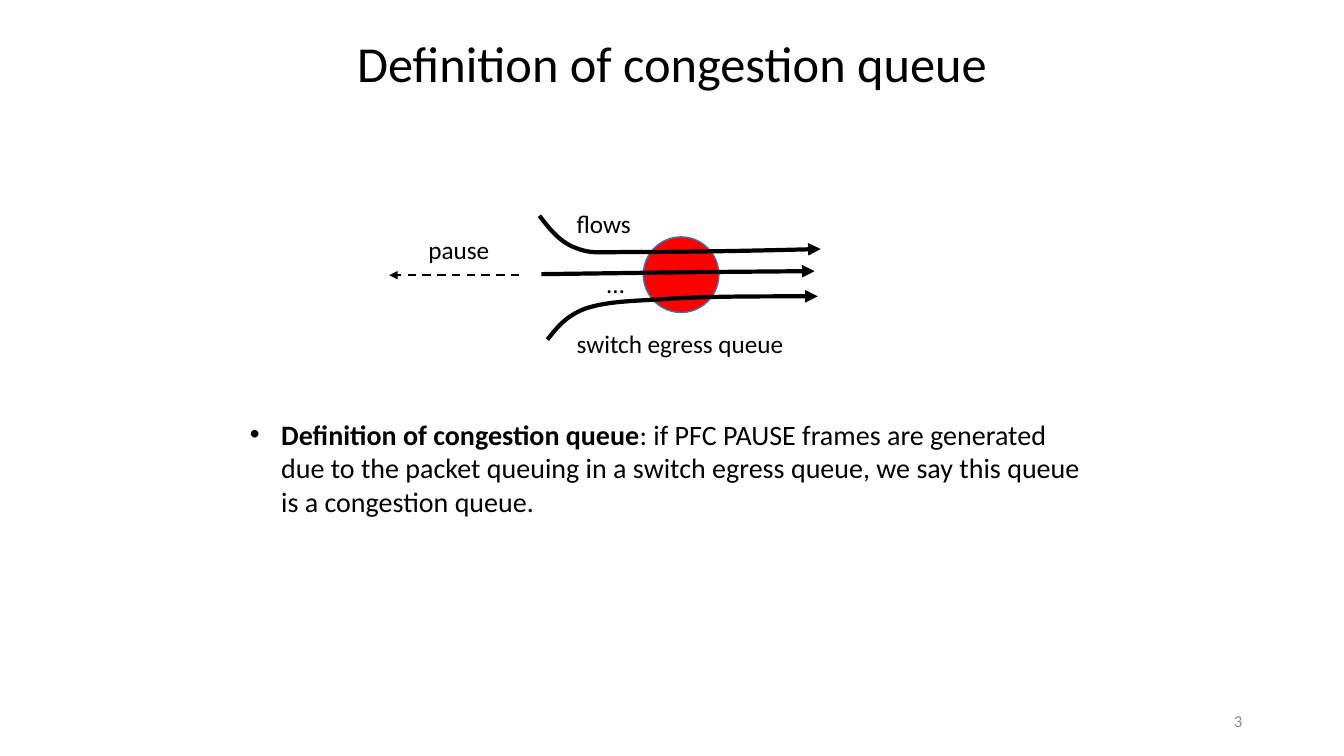
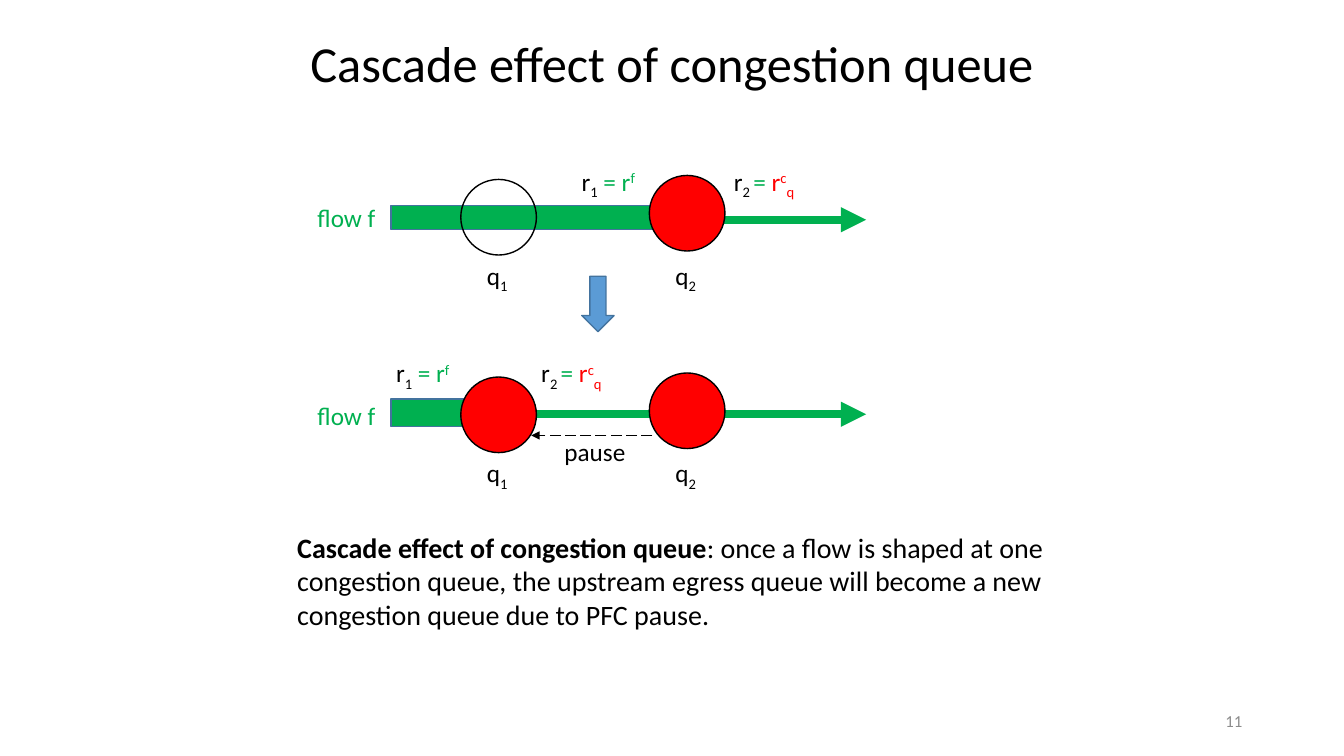
"""Two slides on congestion queues: the definition and the cascade effect."""
from dataclasses import dataclass
from typing import NamedTuple

from lxml.etree import SubElement
from pptx import Presentation
from pptx.dml.color import RGBColor
from pptx.enum.dml import MSO_LINE as Dash
from pptx.enum.shapes import MSO_CONNECTOR as Connector, MSO_SHAPE as Preset
from pptx.enum.text import MSO_ANCHOR as Anchor, MSO_AUTO_SIZE as AutoSize, PP_ALIGN as Align
from pptx.oxml.ns import qn
from pptx.slide import Slide
from pptx.util import Inches, Pt

FONT = "Calibri"
BLACK, RED, GREEN = "000000", "FF0000", "00B050"
BLUE, EDGE, GREY = "5B9BD5", "43739E", "8C8C8C"
QUEUE_SIZE = 0.75
LABEL_HEIGHT = 0.4

Point = tuple[float, float]


class Span(NamedTuple):
    text: str
    color: str = BLACK
    baseline: int = 0
    bold: bool = False


class Area(NamedTuple):
    left: float
    top: float
    width: float
    height: float


class Label(NamedTuple):
    left: float
    top: float
    width: float
    spans: list[Span]


class Stroke(NamedTuple):
    color: str = BLACK
    width: float = 1
    dash: Dash | None = None
    arrow: bool = False


@dataclass
class Flow:
    points: list[Point]
    curved: bool = True


@dataclass
class FlowRow:
    top: float
    bar: Area
    arrow_left: float
    arrow_y: float
    rates_top: float
    rate_lefts: tuple[float, float]
    first_queue_fill: str | None


def rgb(color: str) -> RGBColor:
    return RGBColor.from_string(color)


def add_text(page: Slide, area: Area, spans: list[Span], size: float = 18, wrap: bool = True,
             align: Align = Align.LEFT, grow: bool = True, bullet: bool = False) -> None:
    box = page.shapes.add_textbox(*map(Inches, area))
    frame = box.text_frame
    frame.word_wrap = wrap
    if grow:
        frame.auto_size = AutoSize.SHAPE_TO_FIT_TEXT
    else:
        frame.vertical_anchor = Anchor.MIDDLE
    para = frame.paragraphs[0]
    para.alignment = align
    if bullet:
        settings = para._p.get_or_add_pPr()
        settings.set("marL", str(Inches(0.31)))
        settings.set("indent", str(-Inches(0.31)))
        SubElement(settings, qn("a:buFont")).set("typeface", "Arial")
        SubElement(settings, qn("a:buChar")).set("char", "•")
    for part in spans:
        span = para.add_run()
        span.text = part.text
        font = span.font
        font.name, font.size, font.bold = FONT, Pt(size), part.bold
        font.color.rgb = rgb(part.color)
        if part.baseline:
            span._r.get_or_add_rPr().set("baseline", str(part.baseline * 1000))


def add_label(page: Slide, label: Label) -> None:
    area = Area(label.left, label.top, label.width, LABEL_HEIGHT)
    add_text(page, area, label.spans, wrap=False)


def set_stroke(shape, stroke: Stroke) -> None:
    line = shape.line
    line.color.rgb = rgb(stroke.color)
    line.width = Pt(stroke.width)
    if stroke.dash is not None:
        line.dash_style = stroke.dash
    if stroke.arrow:
        outline = shape.element.spPr.find(qn("a:ln"))
        SubElement(outline, qn("a:tailEnd")).set("type", "triangle")


def add_preset(page: Slide, preset: Preset, area: Area, fill: str | None, edge: str) -> None:
    shape = page.shapes.add_shape(preset, *map(Inches, area))
    shape.shadow.inherit = False
    if fill is None:
        shape.fill.background()
    else:
        shape.fill.solid()
        shape.fill.fore_color.rgb = rgb(fill)
    set_stroke(shape, Stroke(edge))


def add_queue(page: Slide, left: float, top: float, fill: str | None, edge: str = BLACK) -> None:
    add_preset(page, Preset.OVAL, Area(left, top, QUEUE_SIZE, QUEUE_SIZE), fill, edge)


def add_arrow(page: Slide, start: Point, end: Point, stroke: Stroke) -> None:
    arrow = page.shapes.add_connector(Connector.STRAIGHT, *map(Inches, start + end))
    set_stroke(arrow, stroke)
    SubElement(arrow.element.spPr, qn("a:effectLst"))


def add_flow(page: Slide, flow: Flow) -> None:
    start, *rest = [(Inches(x), Inches(y)) for x, y in flow.points]
    builder = page.shapes.build_freeform(*start)
    builder.add_line_segments(rest, close=False)
    shape = builder.convert_to_shape()
    shape.shadow.inherit = False
    shape.fill.background()
    set_stroke(shape, Stroke(BLACK, 3, arrow=True))
    if flow.curved:
        outline = next(shape.element.iter(qn("a:path")))
        segments = outline.findall(qn("a:lnTo"))
        for first in range(0, len(segments), 3):
            curve = SubElement(outline, qn("a:cubicBezTo"))
            for segment in segments[first:first + 3]:
                curve.append(segment[0])
                outline.remove(segment)


def add_page(deck: Presentation, title: str, number: int) -> Slide:
    page = deck.slides.add_slide(deck.slide_layouts[6])
    add_text(page, Area(9.42, 6.95, 3, 0.4), [Span(str(number), GREY)], 12,
             align=Align.RIGHT, grow=False)
    add_text(page, Area(1.72, 0.27, 9.89, 0.71), [Span(title)], 36, align=Align.CENTER)
    return page


def draw_definition(deck: Presentation) -> None:
    title = "Definition of congestion queue"
    page = add_page(deck, title, 3)
    add_queue(page, 6.38, 2.35, RED, EDGE)
    for label in (
        Label(5.62, 3.21, 2.3, [Span("switch egress queue")]),
        Label(5.92, 2.61, 0.38, [Span("…")]),
        Label(5.62, 2.02, 0.75, [Span("flows")]),
        Label(4.15, 2.28, 0.81, [Span("pause")]),
    ):
        add_label(page, label)
    add_text(page, Area(2.38, 4.09, 8.49, 1.11), [
        Span(title, bold=True),
        Span(": if PFC PAUSE frames are generated due to the packet queuing in a switch "
             "egress queue, we say this queue is a congestion queue."),
    ], 20, bullet=True)
    for flow in (
        Flow([(5.35, 2.14), (5.45, 2.27), (5.55, 2.4), (5.71, 2.46), (5.87, 2.52),
              (5.9, 2.5), (6.31, 2.5), (6.71, 2.5), (7.42, 2.49), (8.14, 2.47)]),
        Flow([(5.37, 2.72), (6.91, 2.7), (8.08, 2.69)], curved=False),
        Flow([(5.43, 3.37), (5.52, 3.25), (5.62, 3.13), (5.81, 3.06), (6, 3),
              (6.17, 2.99), (6.55, 2.97), (6.94, 2.94), (7.52, 2.94), (8.11, 2.94)]),
    ):
        add_flow(page, flow)
    add_arrow(page, (5.15, 2.73), (3.86, 2.73), Stroke(BLACK, 1.5, Dash.DASH, True))


def draw_flow_row(page: Slide, row: FlowRow) -> None:
    add_arrow(page, (row.arrow_left, row.arrow_y), (8.59, row.arrow_y),
              Stroke(GREEN, 6, arrow=True))
    add_preset(page, Preset.RECTANGLE, row.bar, GREEN, EDGE)
    add_queue(page, 6.44, row.top, RED)
    add_queue(page, 4.57, row.top + 0.04, row.first_queue_fill)
    first_rate, second_rate = row.rate_lefts
    for label in (
        Label(3.05, row.top + 0.22, 0.78, [Span("flow f", GREEN)]),
        Label(first_rate, row.rates_top, 0.76, [
            Span("r"), Span("1", baseline=-25), Span(" = r", GREEN), Span("f", GREEN, 30)]),
        Label(second_rate, row.rates_top, 0.9, [
            Span("r"), Span("2 ", baseline=-25), Span("= ", GREEN), Span("r", RED),
            Span("c", RED, 30), Span("q ", RED, -25)]),
        Label(4.73, row.top + 0.79, 0.42, [Span("q"), Span("1", baseline=-25)]),
        Label(6.6, row.top + 0.79, 0.42, [Span("q"), Span("2", baseline=-25)]),
    ):
        add_label(page, label)


def draw_cascade(deck: Presentation) -> None:
    title = "Cascade effect of congestion queue"
    page = add_page(deck, title, 11)
    for row in (
        FlowRow(1.74, Area(3.88, 2.04, 2.93, 0.24), 6.99, 2.18, 1.6, (5.67, 7.18), None),
        FlowRow(3.7, Area(3.88, 3.96, 1.04, 0.27), 4.92, 4.11, 3.5, (3.83, 5.27), RED),
    ):
        draw_flow_row(page, row)
    add_preset(page, Preset.DOWN_ARROW, Area(5.77, 2.74, 0.32, 0.55), BLUE, EDGE)
    add_text(page, Area(2.85, 5.21, 7.63, 1.11), [
        Span(title, bold=True),
        Span(": once a flow is shaped at one congestion queue, the upstream egress queue "
             "will become a new congestion queue due to PFC pause. "),
    ], 20)
    add_label(page, Label(5.5, 4.28, 0.81, [Span("pause")]))
    add_arrow(page, (6.47, 4.32), (5.27, 4.32), Stroke(BLACK, 1, Dash.LONG_DASH, True))


def main() -> None:
    deck = Presentation()
    deck.slide_width, deck.slide_height = Inches(13.33), Inches(7.5)
    draw_definition(deck)
    draw_cascade(deck)
    deck.save("out.pptx")


main()
